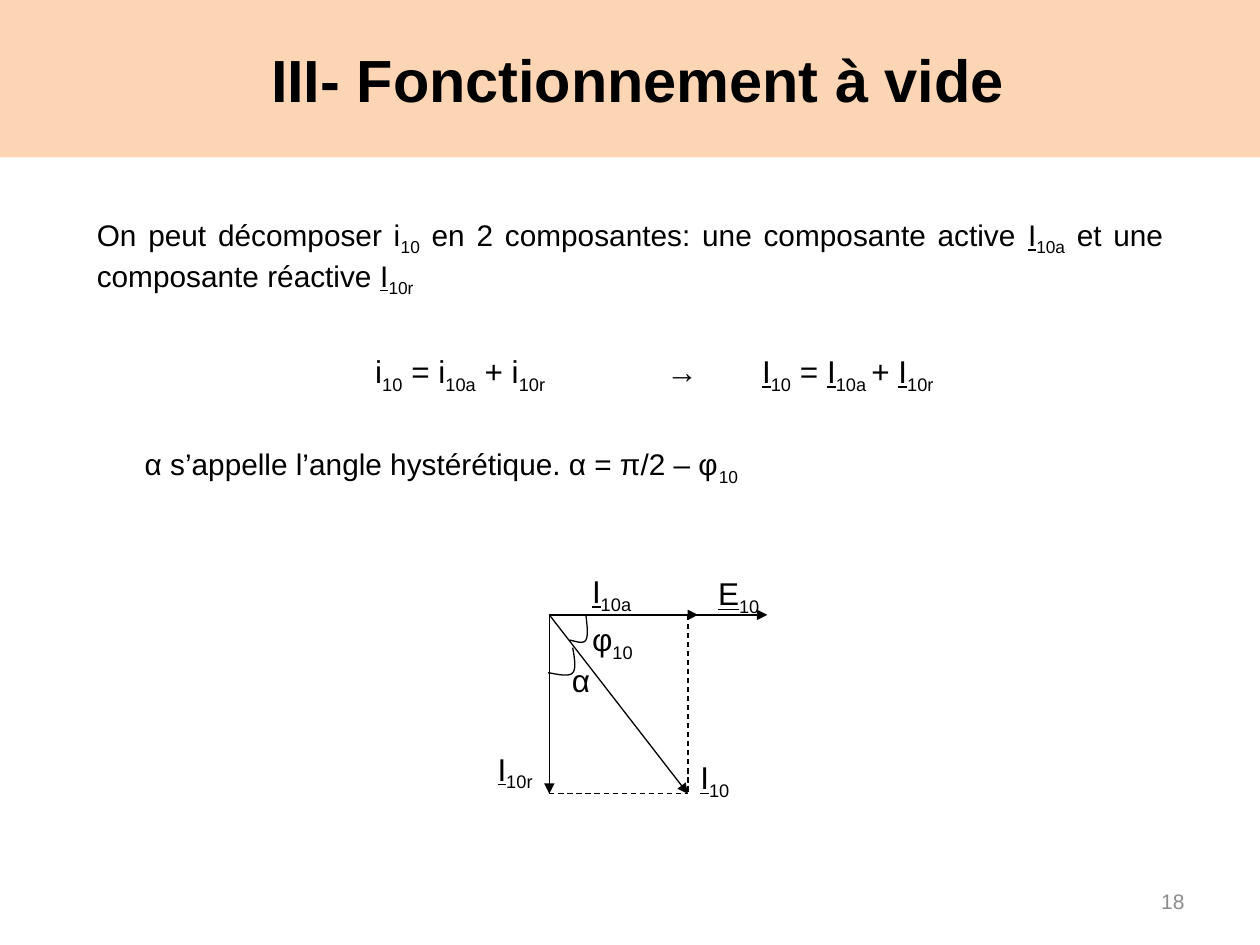
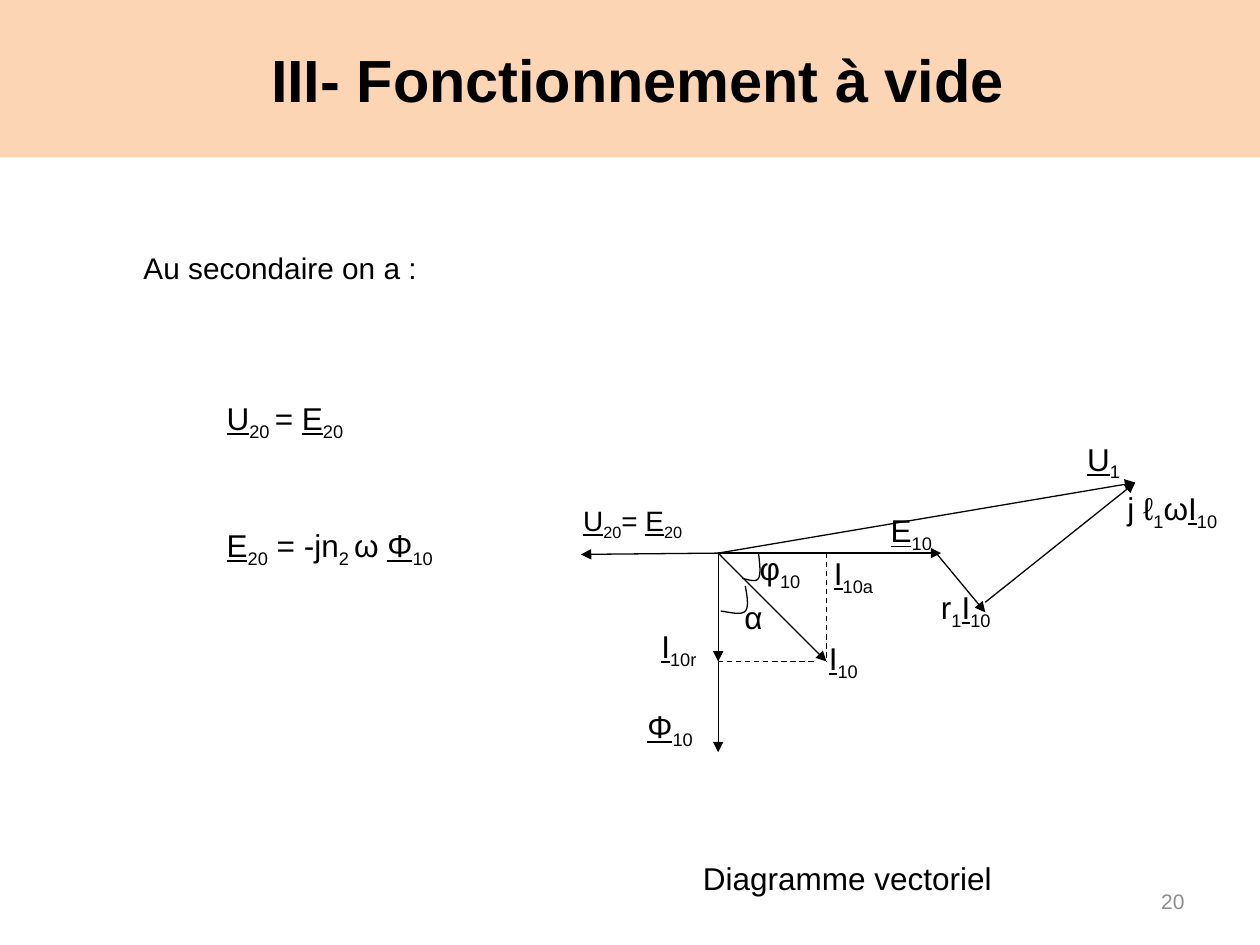
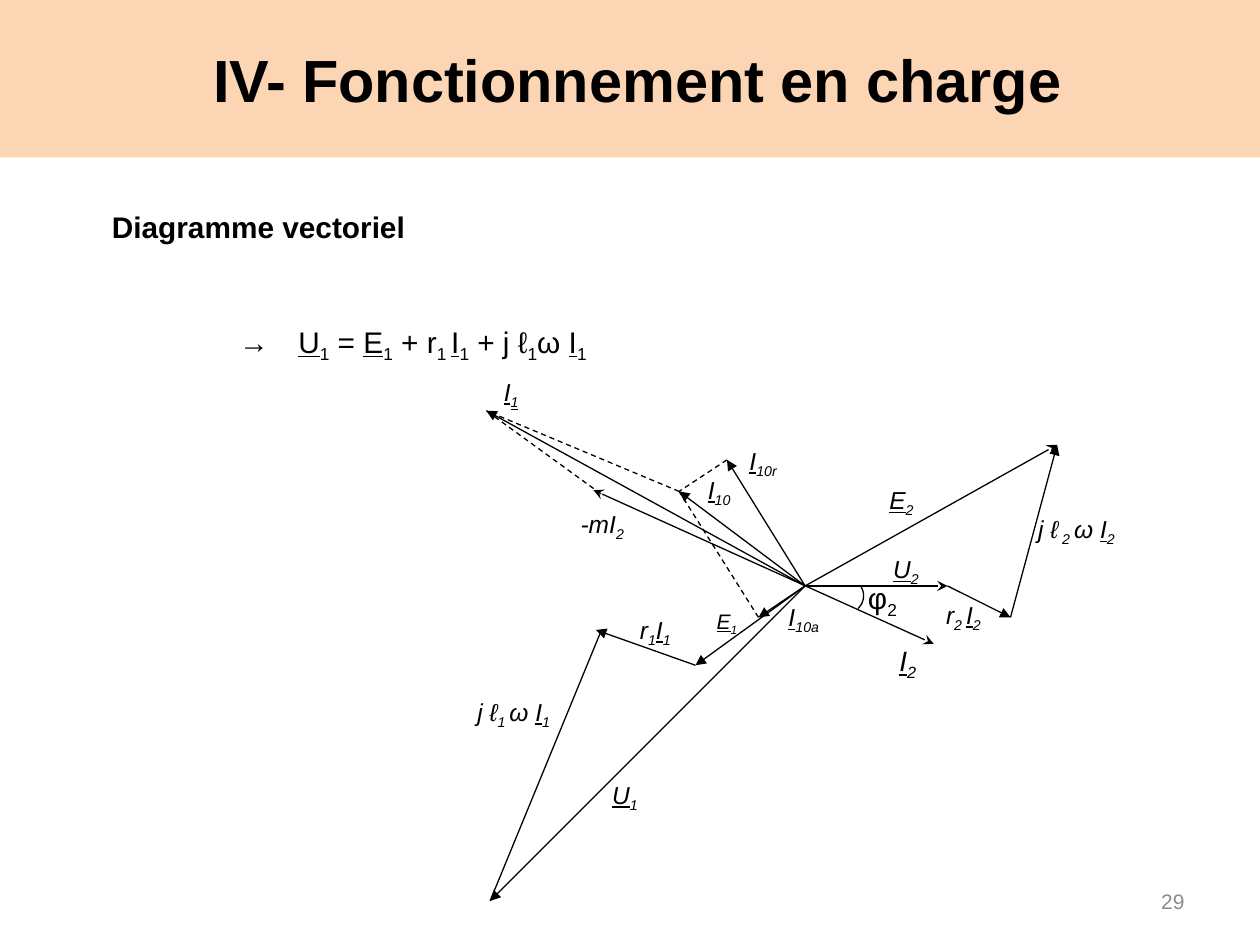
from pptx import Presentation, util as u
from pptx.dml.color import RGBColor
from pptx.enum import dml, text
from pptx.oxml.ns import qn
from lxml import etree

INCH = 2.54
FONT = "Arial"
HUES = {"band": "FCD5B5", "ink": "000000", "page": "8C8C8C"}

# Markup in texts: [underlined], {subscript}
# Points are in inches; a vector "OE" runs from point O to point E
# Labels: text, left, top, width, then what differs from the slide's label style
# Marks: left, top, horizontal stretch, Bezier outline
ANGLE = [(.13, 0), (.14, .08), (.15, .17), (.13, .2), (.11, .24), (.02, .2), (0, .2)]
BOW = [(0, .18), (.05, .13), (.06, .06), (.02, 0)]

SLIDES = [
    {
        "title": "III- Fonctionnement à vide", "page": "18",
        "body": [((.67, 1.67, 8.66, 2.81), [
            ("On peut décomposer i{10} en 2 composantes: une composante active "
             "[I]{10a} et une composante réactive [I]{10r}", {"just": True}),
            ("\ti{10} = i{10a} + i{10r}\t→\t[I]{10} = [I]{10a }+ [I]{10r}",
             {"size": 18, "gap": 31, "tabs": (2.21, 4.52, 5.28)}),
            ("α s’appelle l’angle hystérétique. α = π/2 – φ{10}", {"gap": 29, "left": .38}),
        ])],
        "points": {"O": (4.36, 4.88), "E": (6.09, 4.88), "R": (4.36, 6.3), "I": (5.46, 6.3),
                   "A": (5.46, 4.88), "T": (5.54, 4.88)},
        "lines": {"arrow": "OE OR OI OT", "dash": "AI RI"},
        "marks": [(4.52, 4.88, 1, ANGLE), (4.35, 5.14, 1.5, ANGLE)],
        "style": {"size": 18},
        "labels": [
            ("[E]{10}", 5.6, 4.51, .55), ("[I]{10a}", 4.6, 4.49, .55),
            ("[I]{10r}", 3.85, 5.9, .51), ("[I]{10}", 5.46, 5.97, .45),
            ("φ{10}", 4.6, 4.87, .55), ("α", 4.44, 5.2, .35),
        ],
    },
    {
        "title": "III- Fonctionnement à vide", "page": "20",
        "body": [
            ((1.04, 1.93, 7.91, .55), [("Au secondaire on a :", {})]),
            ((1.7, 3.12, 2.99, 1.92), [
                ("[U]{20 }= [E]{20}", {"size": 18}),
                ("[E]{20} = -jn{2 }ω [Φ]{10}", {"size": 18, "gap": 48})]),
        ],
        "points": {"O": (5.7, 4.39), "V": (4.61, 4.4), "F": (5.7, 5.97), "I": (6.56, 5.25),
                   "U": (9.01, 3.83), "E": (7.47, 4.39), "R": (5.7, 5.25), "A": (6.56, 4.39),
                   "G": (7.43, 4.39), "J": (7.82, 4.86), "K": (7.82, 4.78), "M": (6.48, 5.25)},
        "lines": {"arrow": "OV OF OI KU OU OE OR GJ", "dash": "AI RM"},
        "marks": [(5.89, 4.39, 1, ANGLE), (5.72, 4.65, 1.5, ANGLE)],
        "style": {"size": 18},
        "labels": [
            ("[U]{20}= [E]{20}", 4.53, 3.95, 1.04, {"size": 16}),
            ("[Φ]{10}", 5.04, 5.56, .59), ("[E]{10}", 6.97, 4.01, .55),
            ("[I]{10a}", 6.52, 4.35, .55), ("[I]{10}", 6.48, 5.02, .45),
            ("φ{10}", 5.93, 4.31, .55), ("α", 5.81, 4.7, .35),
            ("[I]{10r}", 5.15, 4.93, .51), ("r{1}[I]{10}", 7.37, 4.62, .63),
            ("[U]{1}", 8.53, 3.44, .47), ("j ℓ{1}ω[I]{10}", 8.85, 3.83, .96),
            ("Diagramme vectoriel", 5.48, 6.77, 2.52),
        ],
    },
    {
        "title": "IV- Fonctionnement en charge", "page": "29",
        "body": [((.79, 1.61, 4.53, 2.01), [
            ("Diagramme vectoriel", {"bold": True}),
            ("\t→\t[U]{1} = [E]{1} + r{1 }[I]{1} + j ℓ{1}ω [I]{1}",
             {"gap": 45, "tabs": (1.01, 1.48)}),
        ])],
        "points": {"O": (6.39, 4.65), "U": (7.52, 4.65), "E": (8.39, 3.53), "A": (6.02, 4.9),
                   "T": (5.52, 5.28), "R": (5.77, 3.65), "N": (5.39, 3.9), "M": (4.71, 3.89),
                   "I": (7.41, 5.11), "C": (3.86, 3.26), "B": (4.77, 3.92), "S": (4.73, 5),
                   "D": (4.77, 5.01), "V": (3.89, 7.15), "J": (8.02, 4.9)},
        "lines": {"arrow": "OA OT OR ON OC TS OV UJ JE", "stealth": "OU OE",
                  "double": "MI", "dash": "AN RN NC BC", "plain": "DV"},
        "marks": [(6.81, 4.65, 1, BOW)],
        "style": {"size": 14, "italic": True, "wrap": True},
        "labels": [
            ("[I{1}]", 3.9, 2.94, .37), ("[I]{10r}", 5.85, 3.49, .5),
            ("-mI{2}", 4.51, 3.99, .64), ("r{1}[I]{1}", 4.98, 4.83, .54),
            ("[E]{2}", 6.96, 3.8, .45), ("j ℓ{ 2 }ω [I]{2}", 8.14, 4.03, .91),
            ("[I]{2}", 7.04, 5.06, .37, {"size": 16}), ("[U]{2}", 6.99, 4.35, .5),
            ("r{2 }[I]{2}", 7.41, 4.71, .71), ("[E]{1}", 5.59, 4.78, .37, {"size": 12}),
            ("[U]{1}", 4.76, 6.14, .51), ("j ℓ{1 }ω [I]{1}", 3.69, 5.48, .87),
            ("[I]{10a}", 6.16, 4.73, .5), ("[I]{10}", 5.52, 3.72, .56),
            ("φ{2}", 6.79, 4.55, .6, {"size": 17, "italic": False}),
        ],
    },
]

ENDS = {"arrow": {"tailEnd": "triangle"}, "stealth": {"tailEnd": "stealth"},
        "double": {"headEnd": "stealth", "tailEnd": "stealth"}, "dash": {}, "plain": {}}


def cm(*vals):
    return [u.Cm(v * INCH) for v in vals]


def tint(name):
    return RGBColor.from_string(HUES[name])


def put(obj, vals):
    for key, val in vals.items():
        setattr(obj, key, val)


def split(line):
    """Yield (text, underlined, subscript) for each run of the markup."""
    under = sub = False
    part = ""
    for ch in line:
        if ch not in "[]{}":
            part += ch
            continue
        if part:
            yield part, under, sub
        part = ""
        if ch in "[]":
            under = ch == "["
        else:
            sub = ch == "{"
    if part:
        yield part, under, sub


def write(para, line, size=17, hue="ink", bold=False, italic=False):
    for part, under, sub in split(line):
        run = para.add_run()
        run.text = part
        put(run.font, {"name": FONT, "size": u.Pt(size), "bold": bold,
                       "italic": italic, "underline": under})
        run.font.color.rgb = tint(hue)
        if sub:
            run.font._element.set("baseline", "-25000")


def shift(para, left=0, tabs=()):
    props = para._p.get_or_add_pPr()
    props.set("marL", str(cm(left)[0]))
    if tabs:
        stops = etree.SubElement(props, qn("a:tabLst"))
        for pos in cm(*tabs):
            etree.SubElement(stops, qn("a:tab"), pos=str(pos), algn="l")


def box(slide, at, wrap=True):
    frame = slide.shapes.add_textbox(*cm(*at)).text_frame
    frame.word_wrap = wrap
    return frame


def head(slide, words):
    title = slide.shapes.title
    put(title, dict(zip(("left", "top", "width", "height"), cm(0, 0, 10, 1.25))))
    title.fill.solid()
    title.fill.fore_color.rgb = tint("band")
    frame = title.text_frame
    put(frame, {"vertical_anchor": text.MSO_ANCHOR.MIDDLE, "word_wrap": True,
                "auto_size": text.MSO_AUTO_SIZE.NONE, "margin_left": cm(.22)[0]})
    para = frame.paragraphs[0]
    para.alignment = text.PP_ALIGN.CENTER
    write(para, words, size=34, bold=True)


def foot(slide, page):
    frame = box(slide, (7.17, 6.95, 2.33, .4))
    frame.vertical_anchor = text.MSO_ANCHOR.MIDDLE
    para = frame.paragraphs[0]
    para.alignment = text.PP_ALIGN.RIGHT
    write(para, page, size=12, hue="page")


def body(slide, at, paras):
    frame = box(slide, at)
    for n, (line, form) in enumerate(paras):
        para = frame.add_paragraph() if n else frame.paragraphs[0]
        side = text.PP_ALIGN.JUSTIFY if form.get("just") else text.PP_ALIGN.LEFT
        put(para, {"alignment": side, "space_before": u.Pt(form.get("gap", 0))})
        shift(para, form.get("left", 0), form.get("tabs", ()))
        write(para, line, form.get("size", 17), bold=form.get("bold", False))


def label(slide, style, line, x, y, width, form=None):
    look = {**style, **(form or {})}
    frame = box(slide, (x, y, width, .4), look.pop("wrap", False))
    write(frame.paragraphs[0], line, **look)


def pen(line):
    line.color.rgb = tint("ink")
    line.width = u.Pt(.75)


def vector(slide, start, end, kind):
    link = slide.shapes.add_connector(1, *cm(*start, *end))
    pen(link.line)
    if kind == "dash":
        link.line.dash_style = dml.MSO_LINE.DASH
    props = link._element.spPr
    for tag, tip in ENDS[kind].items():
        etree.SubElement(props.find(qn("a:ln")), qn("a:" + tag), type=tip)
    etree.SubElement(props, qn("a:effectLst"))


def curve(knots, steps=10):
    """Points along a chain of cubic Bezier segments."""
    dots = [knots[0]]
    for i in range(0, len(knots) - 1, 3):
        for n in range(1, steps + 1):
            t = n / steps
            mix = ((1 - t) ** 3, 3 * t * (1 - t) ** 2, 3 * t * t * (1 - t), t ** 3)
            dots.append(tuple(sum(m * k[axis] for m, k in zip(mix, knots[i:i + 4]))
                              for axis in (0, 1)))
    return dots


def mark(slide, x, y, wide, knots):
    dots = [cm(x + a * wide, y + b) for a, b in curve(knots)]
    path = slide.shapes.build_freeform(*dots[0])
    path.add_line_segments(dots[1:], close=False)
    arc = path.convert_to_shape()
    arc.shadow.inherit = False
    arc.fill.background()
    pen(arc.line)


def main():
    deck = Presentation()
    put(deck, dict(zip(("slide_width", "slide_height"), cm(10, 7.5))))
    for data in SLIDES:
        slide = deck.slides.add_slide(deck.slide_layouts[5])
        head(slide, data["title"])
        for at, paras in data["body"]:
            body(slide, at, paras)
        spots = data["points"]
        for kind, pairs in data["lines"].items():
            for start, end in pairs.split():
                vector(slide, spots[start], spots[end], kind)
        for item in data["marks"]:
            mark(slide, *item)
        for item in data["labels"]:
            label(slide, data["style"], *item)
        foot(slide, data["page"])
    deck.save("out.pptx")


if __name__ == "__main__":
    main()
